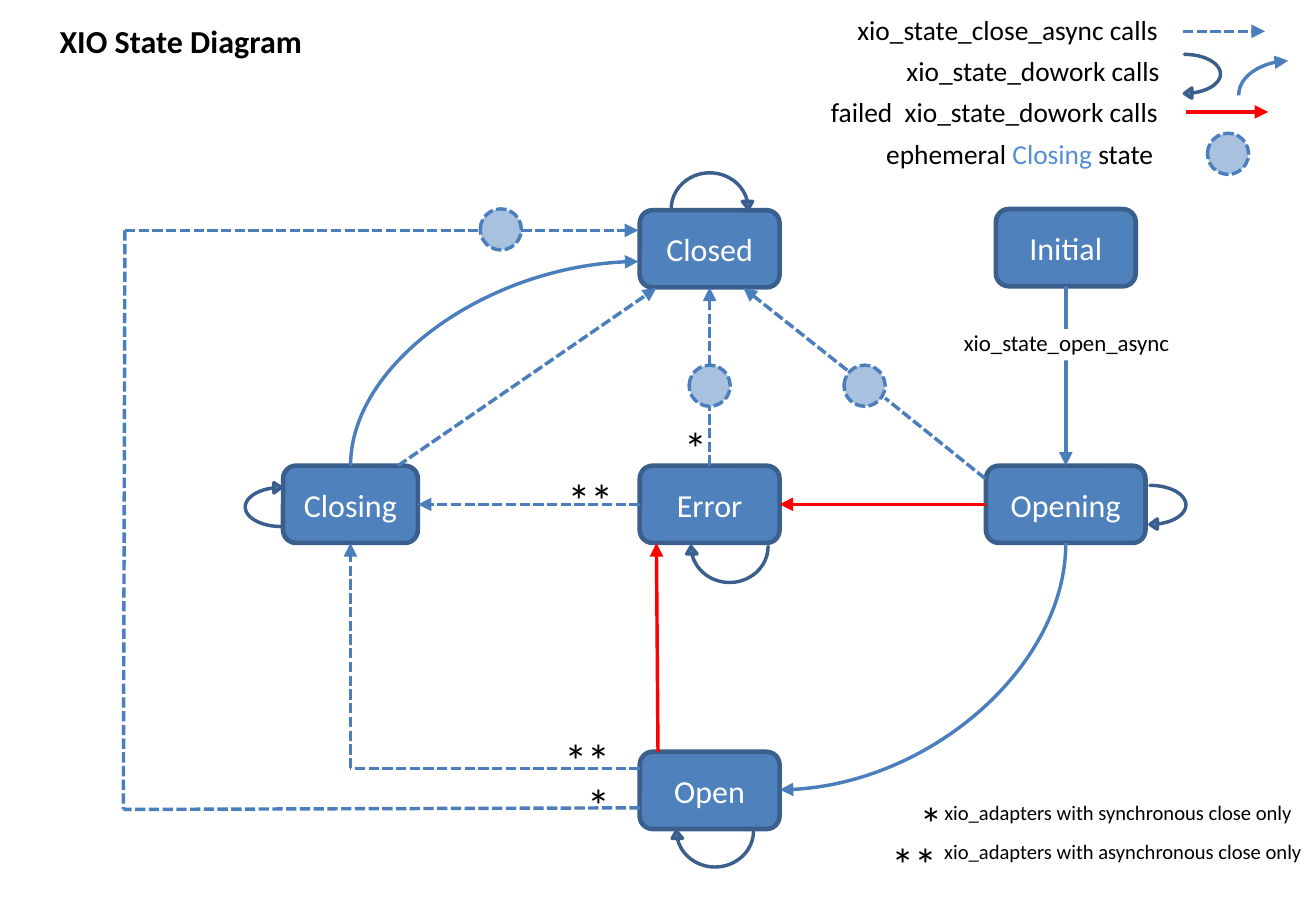
from dataclasses import dataclass
from lxml import etree
from pptx import Presentation
from pptx.dml.color import RGBColor
from pptx.enum.dml import MSO_LINE
from pptx.enum.shapes import MSO_CONNECTOR, MSO_SHAPE
from pptx.enum.text import MSO_ANCHOR, MSO_AUTO_SIZE, PP_ALIGN
from pptx.oxml.ns import qn
from pptx.util import Pt

STRAIGHT, CURVE = MSO_CONNECTOR.STRAIGHT, MSO_CONNECTOR.CURVE
ROUNDED, CIRCLE, LOOP = MSO_SHAPE.ROUNDED_RECTANGLE, MSO_SHAPE.OVAL, MSO_SHAPE.CURVED_LEFT_ARROW
DASH = MSO_LINE.SQUARE_DOT
LEFT, CENTER, RIGHT = PP_ALIGN.LEFT, PP_ALIGN.CENTER, PP_ALIGN.RIGHT
TOP_SIDE, LEFT_SIDE, BOTTOM_SIDE, RIGHT_SIDE = range(4)
FONT = "Calibri"
COLORS = {"state": "4F81BD", "border": "3A5F8C", "arrow": "4B7EBC", "failed": "FF0000",
          "closing": "558ED5", "text": "000000", "white": "FFFFFF"}
STATE_HEIGHT = 33.8
CIRCLE_SIZE = 18
LOOP_DEPTH = 15.8


@dataclass
class Box:
    """A region of the slide, in points."""
    left: float
    top: float
    width: float
    height: float

    def place(self, x, y):
        """Turn a point of the region into a point of the slide."""
        return Pt(self.left + x), Pt(self.top + y)


def color(name):
    """Return the named colour."""
    return RGBColor.from_string(COLORS[name])


def style_paragraph(paragraph, size, color_name="text", align=LEFT, bold=False):
    """Set the font and alignment of a paragraph."""
    paragraph.alignment = align
    paragraph.font.name, paragraph.font.size = FONT, Pt(size)
    paragraph.font.bold = bold
    paragraph.font.color.rgb = color(color_name)


def add_text(slide, box, x, y, width, height, text, size, align=LEFT, margins=(0, 0, 0, 0), wrap=False):
    """Add a text box and return it."""
    shape = slide.shapes.add_textbox(*box.place(x, y), Pt(width), Pt(height))
    frame = shape.text_frame
    frame.word_wrap, frame.auto_size = wrap, MSO_AUTO_SIZE.SHAPE_TO_FIT_TEXT
    frame.margin_left, frame.margin_top, frame.margin_right, frame.margin_bottom = map(Pt, margins)
    paragraph = frame.paragraphs[0]
    for part in [text] if isinstance(text, str) else text:
        paragraph.add_run().text = part
    style_paragraph(paragraph, size, align=align)
    return shape


def add_stars(slide, box, x, y, count):
    """Add a footnote mark of one or two stars."""
    add_text(slide, box, x, y, 11.5 * count, 24.5, "*" * count, 20, wrap=True)


def add_filled(slide, box, kind, x, y, width, height, line_width=1.5, line="border"):
    """Add an outlined shape in the state colour."""
    shape = slide.shapes.add_shape(kind, *box.place(x, y), Pt(width), Pt(height))
    shape.shadow.inherit = False
    shape.fill.solid()
    shape.fill.fore_color.rgb = color("state")
    shape.line.color.rgb, shape.line.width = color(line), Pt(line_width)
    return shape


def add_state(slide, box, name, center, top, width):
    """Add a named state box."""
    shape = add_filled(slide, box, ROUNDED, center - width / 2, top, width, STATE_HEIGHT, 2)
    frame = shape.text_frame
    frame.text, frame.vertical_anchor = name, MSO_ANCHOR.MIDDLE
    style_paragraph(frame.paragraphs[0], 14, "white", CENTER)
    return shape


def add_ephemeral(slide, box, x, y):
    """Add a see-through dashed circle around a centre."""
    half = CIRCLE_SIZE / 2
    shape = add_filled(slide, box, CIRCLE, x - half, y - half, CIRCLE_SIZE, CIRCLE_SIZE, line="arrow")
    shape.line.dash_style = DASH
    fill_color = shape.fill._xPr.find(qn("a:solidFill"))[0]
    etree.SubElement(fill_color, qn("a:alpha"), val="49000")


def add_loop(slide, box, x, y, length, rotation=0):
    """Add a looping arrow around a centre."""
    shape = add_filled(slide, box, LOOP, x - LOOP_DEPTH / 2, y - length / 2, LOOP_DEPTH, length)
    shape.rotation = rotation
    for index, value in enumerate((0, 0.286, 0.207)):
        shape.adjustments[index] = value


def add_arrow(slide, box, begin, end, color_name="arrow", dashed=False, head=True, kind=STRAIGHT):
    """Connect two points, each given as (x, y) or as (shape, side)."""
    joins = [not isinstance(point[0], (int, float)) for point in (begin, end)]
    start, stop = ((0, 0) if joined else box.place(*point)
                   for joined, point in zip(joins, (begin, end)))
    connector = slide.shapes.add_connector(kind, *start, *stop)
    if joins[0]:
        connector.begin_connect(*begin)
    if joins[1]:
        connector.end_connect(*end)
    connector.line.color.rgb, connector.line.width = color(color_name), Pt(1.5)
    if dashed:
        connector.line.dash_style = DASH
    if head:
        etree.SubElement(connector.line._get_or_add_ln(), qn("a:tailEnd"), type="triangle")
    etree.SubElement(connector._element.spPr, qn("a:effectLst"))
    return connector


def add_curve(slide, box, begin, end):
    """Add a quarter-turn arrow that leaves its start vertically."""
    (x1, y1), (x2, y2) = begin, end
    center_x, center_y = (x1 + x2) / 2, (y1 + y2) / 2
    half_width, half_height = (y2 - y1) / 2, (x1 - x2) / 2
    connector = add_arrow(slide, box, (center_x - half_width, center_y - half_height),
                          (center_x + half_width, center_y + half_height), kind=CURVE)
    properties = connector._element.spPr
    properties.find(qn("a:xfrm")).set("rot", "5400000")
    properties.find(qn("a:prstGeom")).set("prst", "curvedConnector2")


def add_title(slide, box):
    """Place and format the slide title."""
    title = slide.shapes.title
    title.left, title.top = box.place(0, 0)
    title.width, title.height = Pt(box.width), Pt(box.height)
    frame = title.text_frame
    frame.text, frame.vertical_anchor = "XIO State Diagram", MSO_ANCHOR.TOP
    frame.auto_size = MSO_AUTO_SIZE.SHAPE_TO_FIT_TEXT
    style_paragraph(frame.paragraphs[0], 14, align=CENTER, bold=True)


def add_diagram(slide, box):
    """Draw the states and the transitions between them."""
    first, middle, last = 99.4, 256.6, 412.5
    upper, center, lower = 20, 131.8, 257
    closed = add_state(slide, box, "Closed", middle, upper, 61.2)
    initial = add_state(slide, box, "Initial", last, upper - 0.5, 61.2)
    closing = add_state(slide, box, "Closing", first, center, 59)
    error = add_state(slide, box, "Error", middle, center, 61.2)
    opening = add_state(slide, box, "Opening", last, center, 69.8)
    add_state(slide, box, "Open", middle, lower, 61.2)

    add_arrow(slide, box, (initial, BOTTOM_SIDE), (opening, TOP_SIDE))
    add_arrow(slide, box, (opening, LEFT_SIDE), (error, RIGHT_SIDE), "failed")
    add_arrow(slide, box, (234, lower), (233.3, center + STATE_HEIGHT), "failed")
    for begin, end, head in (
            ((226, 264.2), (first, 264.2), False), ((first, 264.2), (closing, BOTTOM_SIDE), True),
            ((226, 281.5), (0, 282.2), False), ((0.7, 28.8), (0, 282.2), False),
            ((0.7, 28.8), (156.2, 28.8), False), ((174.2, 28.8), (225.4, 28.8), True),
            ((error, LEFT_SIDE), (closing, RIGHT_SIDE), True), ((120.2, center), (233.3, 54), True),
            ((error, TOP_SIDE), (middle, 105.8), False), ((middle, 87.8), (closed, BOTTOM_SIDE), True),
            ((377.3, 137.5), (333.4, 102.2), False), ((316.8, 90), (271.4, 54), True)):
        add_arrow(slide, box, begin, end, dashed=True, head=head)
    add_curve(slide, box, (last, center + STATE_HEIGHT), (287.3, 273.6))
    add_curve(slide, box, (first, center), (225.4, 42.5))
    for loop in ((457.2, 150.1, 19.4), (61.2, 148.7, 19.4, 180), (257.8, 299.5, 36, 90),
                 (264.2, 175, 36, 90), (257.8, 11.5, 36, 270)):
        add_loop(slide, box, *loop)
    for x, y in ((165.2, 28.4), (middle, 96.8), (324.4, 96.8)):
        add_ephemeral(slide, box, x, y)
    for stars in ((203, 267.8, 1), (193, 248.4, 2), (245.5, 111.6, 1), (194.4, 134.6, 2)):
        add_stars(slide, box, *stars)
    label = add_text(slide, box, 367.9, 72, 91.4, 13.7, "xio_state_open_async", 10, margins=(0, 0, 0, 1.44))
    label.fill.solid()
    label.fill.fore_color.rgb = color("white")


def add_legend(slide, box):
    """Explain the arrows and the circle."""
    rows = (("xio_state_close_async calls", 167.7, 155.5), ("xio_state_dowork calls", 168.4, 134.6),
            ("failed  xio_state_dowork calls", 167.7, 167),
            (("ephemeral", " Closing ", "state"), 165.5, 145.4))
    for index, (text, right, width) in enumerate(rows):
        label = add_text(slide, box, right - width, 18 * index, width, 26, text, 12, RIGHT,
                         (10.8, 5.8, 10.8, 5.8))
    label.text_frame.paragraphs[0].runs[1].font.color.rgb = color("closing")
    add_arrow(slide, box, (167.7, 13.7), (203.7, 13.7), dashed=True)
    add_loop(slide, box, 176.3, 33.5, 19.4)
    add_curve(slide, box, (192.2, 41.8), (213.8, 26.6))
    add_arrow(slide, box, (169.1, 49), (205.1, 49), "failed")
    add_ephemeral(slide, box, 187.5, 67.3)


def add_footnotes(slide, box):
    """Explain the stars."""
    notes = (("synchronous", 12.5, 0, 152.6), ("asynchronous", 0.2, 17.8, 158.4))
    for index, (mode, x, y, width) in enumerate(notes):
        add_stars(slide, box, x, y, index + 1)
        add_text(slide, box, 23.3, 1.9 + 17.3 * index, width, 10.8,
                 f"xio_adapters with {mode} close only", 9)


def main():
    """Build and save the slide."""
    presentation = Presentation()
    presentation.slide_width, presentation.slide_height = Pt(576), Pt(396)
    slide = presentation.slides.add_slide(presentation.slide_layouts[5])
    add_title(slide, Box(12.2, 5.8, 134, 24.5))
    add_diagram(slide, Box(54, 72, 468, 310))
    add_legend(slide, Box(350, 0, 216, 80))
    add_footnotes(slide, Box(390, 348, 182, 43))
    presentation.save("out.pptx")


if __name__ == "__main__":
    main()
